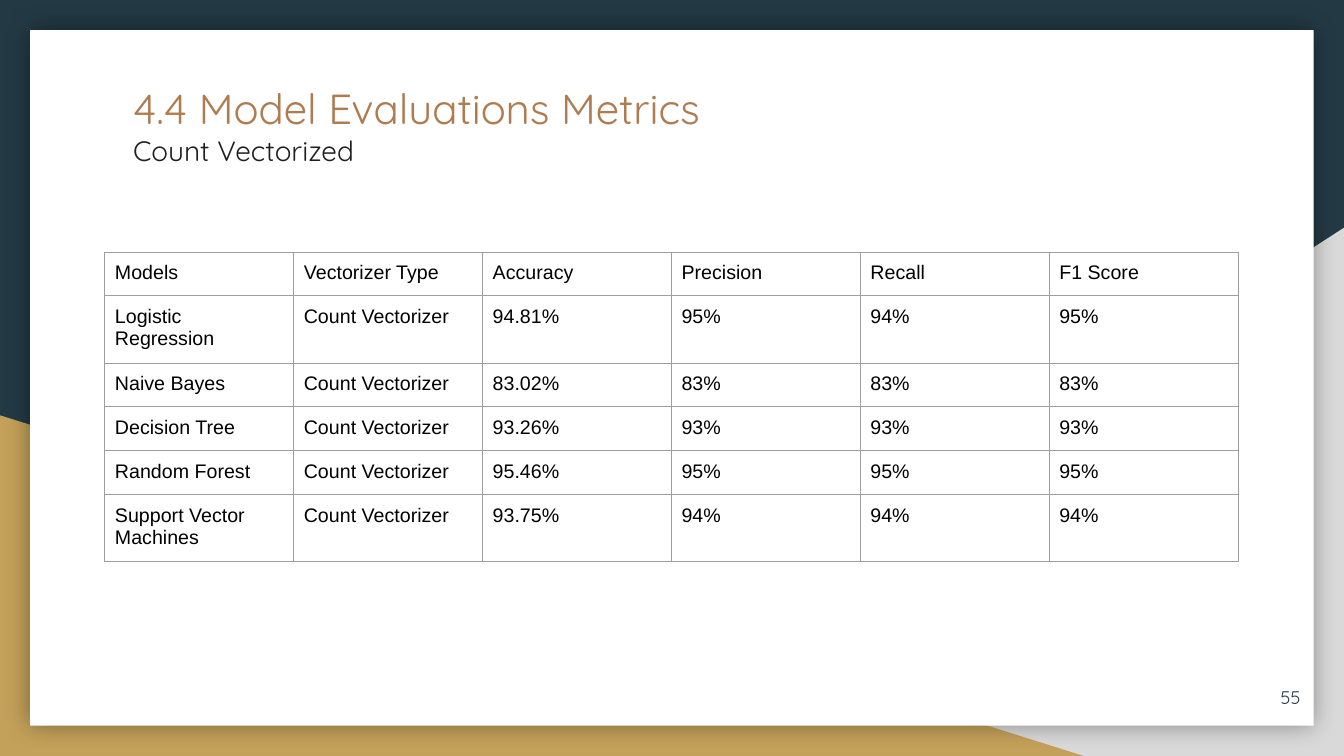
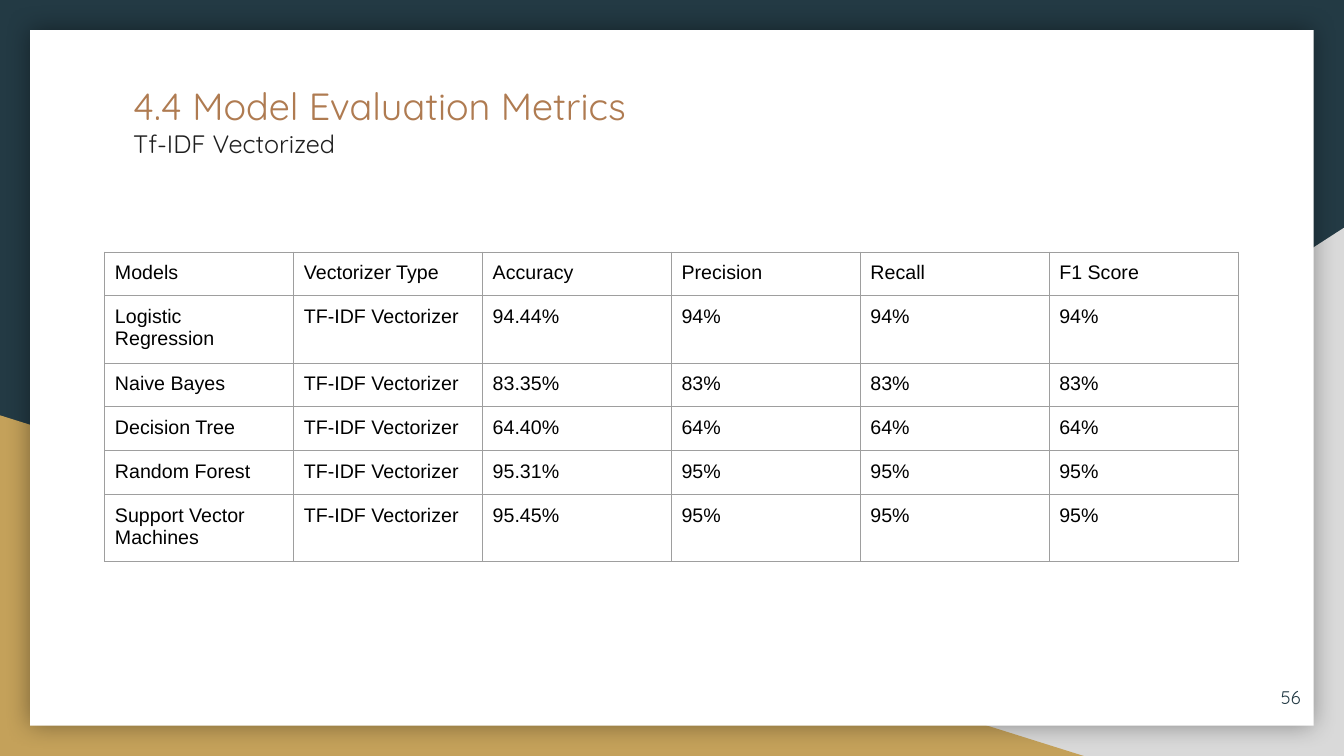
from dataclasses import dataclass

from lxml import etree
from pptx import Presentation
from pptx.dml.color import RGBColor
from pptx.enum import shapes, text
from pptx.oxml import ns
from pptx.util import Inches, Pt


@dataclass(frozen=True)
class Theme:
    navy: str = "233A44"
    gold: str = "C4A15A"
    gray: str = "D9D9D9"
    paper: str = "FFFFFF"
    title: str = "AF7B51"
    subtitle: str = "1F1F1F"
    ink: str = "000000"
    border: str = "9E9E9E"
    heading_font: str = "Quicksand"
    table_font: str = "Arial"
    number_size: int = 13
    table_size: int = 14
    border_width: float = 0.75
    text_inset: float = 0.13
    cell_inset: float = 0.1


THEME = Theme()
WIDTH, HEIGHT = 13.33, 7.5
TITLE_BOX = (1.19, 0.69, 10.94, 0.89)
NUMBER_BOX = (12.23, 6.63, 0.8, 0.57)
TABLE_BOX = (1.04, 2.5, 11.24, 2.94)
SINGLE_ROW, DOUBLE_ROW = 0.42, 0.63

HEADER = ("Models", "Vectorizer Type", "Accuracy", "Precision", "Recall", "F1 Score")
MODELS = ("Logistic Regression", "Naive Bayes", "Decision Tree", "Random Forest",
          "Support Vector Machines")
WRAPPED_MODELS = {"Logistic Regression", "Support Vector Machines"}

SLIDES = (
    dict(title="4.4 Model Evaluations Metrics", subtitle="Count Vectorized",
         sizes=(30, 20), number="55", vectorizer="Count Vectorizer",
         scores=(("94.81%", "95%", "94%", "95%"),
                 ("83.02%", "83%", "83%", "83%"),
                 ("93.26%", "93%", "93%", "93%"),
                 ("95.46%", "95%", "95%", "95%"),
                 ("93.75%", "94%", "94%", "94%"))),
    dict(title="4.4 Model Evaluation Metrics", subtitle="Tf-IDF Vectorized",
         sizes=(27, 18), number="56", vectorizer="TF-IDF Vectorizer",
         scores=(("94.44%", "94%", "94%", "94%"),
                 ("83.35%", "83%", "83%", "83%"),
                 ("64.40%", "64%", "64%", "64%"),
                 ("95.31%", "95%", "95%", "95%"),
                 ("95.45%", "95%", "95%", "95%"))),
)


def rgb(color):
    return RGBColor.from_string(color)


def inches(box):
    return [Inches(v) for v in box]


def set_insets(target, inset):
    for side in ("left", "right", "top", "bottom"):
        setattr(target, f"margin_{side}", Inches(inset))


def write(p, content, *, size, color, font=THEME.heading_font,
          align=text.PP_ALIGN.LEFT):
    p.alignment = align
    r = p.add_run()
    r.text = content
    r.font.name = font
    r.font.size = Pt(size)
    r.font.color.rgb = rgb(color)


def add_frame(slide, box, anchor):
    tf = slide.shapes.add_textbox(*inches(box)).text_frame
    tf.word_wrap = True
    tf.vertical_anchor = anchor
    set_insets(tf, THEME.text_inset)
    return tf


def add_plain_shape(slide, kind, box, color):
    sp = slide.shapes.add_shape(kind, *inches(box))
    sp.shadow.inherit = False
    sp.fill.solid()
    sp.fill.fore_color.rgb = rgb(color)
    sp.line.fill.background()
    return sp


def add_glow_shadow(sp, blur, opacity):
    """Add a black shadow spreading evenly on all sides."""
    effects = sp._element.spPr.find(ns.qn("a:effectLst"))
    shadow = etree.SubElement(effects, ns.qn("a:outerShdw"), blurRad=str(Pt(blur)),
                              dist="0", dir="0", algn="ctr", rotWithShape="0")
    color = etree.SubElement(shadow, ns.qn("a:srgbClr"), val="000000")
    etree.SubElement(color, ns.qn("a:alpha"), val=str(opacity * 1000))


def add_backdrop(slide, width, height):
    slide.background.fill.solid()
    slide.background.fill.fore_color.rgb = rgb(THEME.navy)
    kinds = shapes.MSO_SHAPE
    right = add_plain_shape(slide, kinds.RIGHT_TRIANGLE,
                            (width - 8.11, height - 5.24, 8.11, 5.24), THEME.gray)
    right._element.spPr.get_or_add_xfrm().set("flipH", "1")
    add_plain_shape(slide, kinds.RIGHT_TRIANGLE,
                    (0, height - 3.38, 10.75, 3.38), THEME.gold)
    margin = 0.3
    paper = add_plain_shape(slide, kinds.RECTANGLE,
                            (margin, margin, width - 2 * margin, height - 2 * margin),
                            THEME.paper)
    add_glow_shadow(paper, blur=18, opacity=40)


def add_title(slide, box, title, subtitle, sizes):
    tf = add_frame(slide, box, text.MSO_ANCHOR.TOP)
    write(tf.paragraphs[0], title, size=sizes[0], color=THEME.title)
    write(tf.add_paragraph(), subtitle, size=sizes[1], color=THEME.subtitle)


def add_number(slide, box, number):
    tf = add_frame(slide, box, text.MSO_ANCHOR.MIDDLE)
    write(tf.paragraphs[0], number, size=THEME.number_size, color=THEME.navy,
          align=text.PP_ALIGN.RIGHT)


def set_borders(cell):
    tc_pr = cell._tc.get_or_add_tcPr()
    for i, side in enumerate(("lnL", "lnR", "lnT", "lnB")):
        line = etree.Element(ns.qn(f"a:{side}"), w=str(Pt(THEME.border_width)))
        fill = etree.SubElement(line, ns.qn("a:solidFill"))
        etree.SubElement(fill, ns.qn("a:srgbClr"), val=THEME.border)
        tc_pr.insert(i, line)


def add_score_table(slide, box, vectorizer, scores):
    rows = [HEADER] + [(model, vectorizer, *values)
                       for model, values in zip(MODELS, scores)]
    table = slide.shapes.add_table(len(rows), len(HEADER), *inches(box)).table
    table.first_row = table.horz_banding = False
    for column in table.columns:
        column.width = Inches(box[2] / len(HEADER))
    for i, values in enumerate(rows):
        wrapped = values[0] in WRAPPED_MODELS
        table.rows[i].height = Inches(DOUBLE_ROW if wrapped else SINGLE_ROW)
        for j, value in enumerate(values):
            cell = table.cell(i, j)
            cell.fill.background()
            set_insets(cell, THEME.cell_inset)
            set_borders(cell)
            write(cell.text_frame.paragraphs[0], value, size=THEME.table_size,
                  color=THEME.ink, font=THEME.table_font)


def add_metrics_slide(prs, title, subtitle, sizes, number, vectorizer, scores):
    slide = prs.slides.add_slide(prs.slide_layouts[6])
    add_backdrop(slide, WIDTH, HEIGHT)
    add_title(slide, TITLE_BOX, title, subtitle, sizes)
    add_number(slide, NUMBER_BOX, number)
    add_score_table(slide, TABLE_BOX, vectorizer, scores)


def main():
    prs = Presentation()
    prs.slide_width, prs.slide_height = Inches(WIDTH), Inches(HEIGHT)
    for content in SLIDES:
        add_metrics_slide(prs, **content)
    prs.save("out.pptx")


if __name__ == "__main__":
    main()
